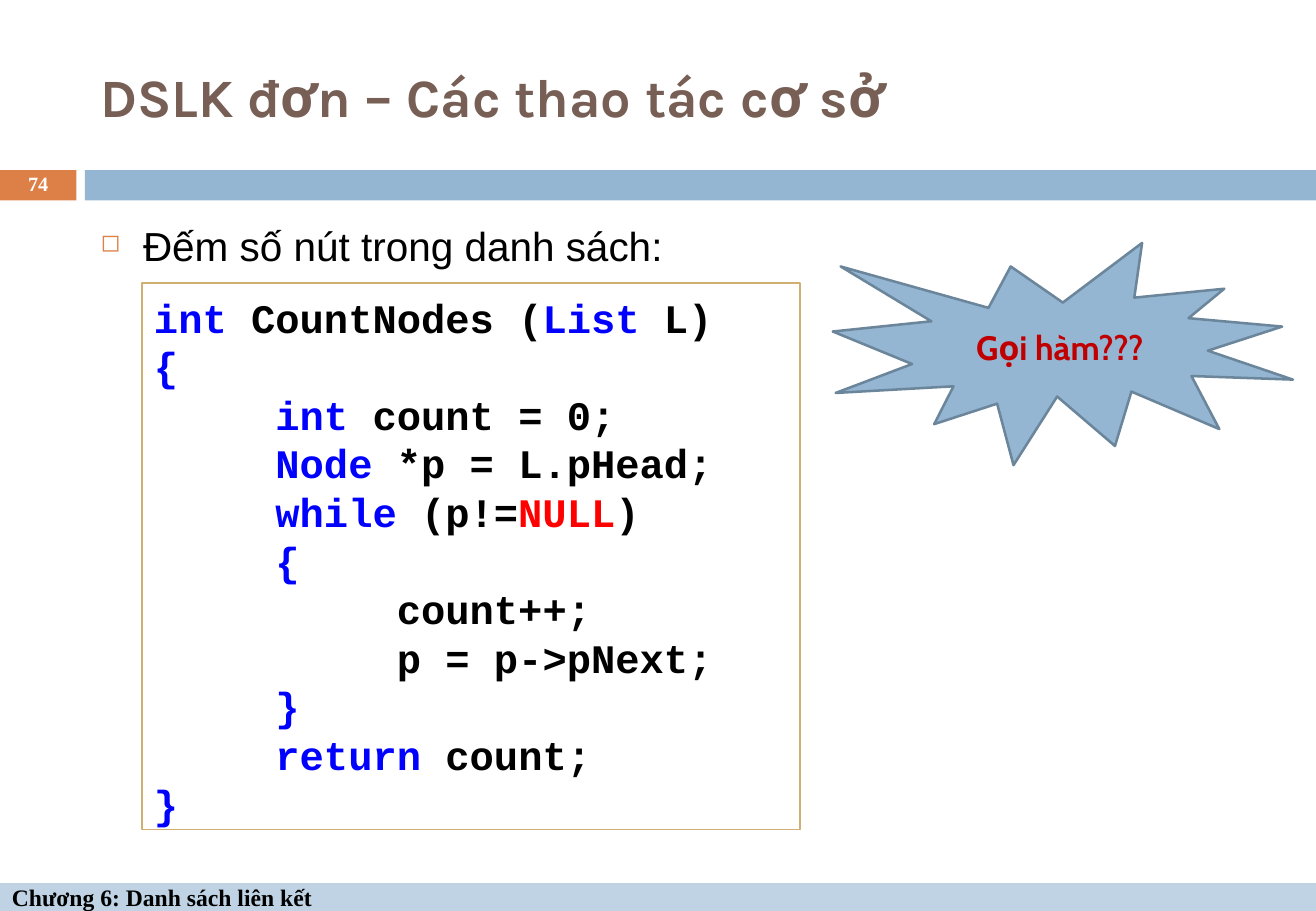
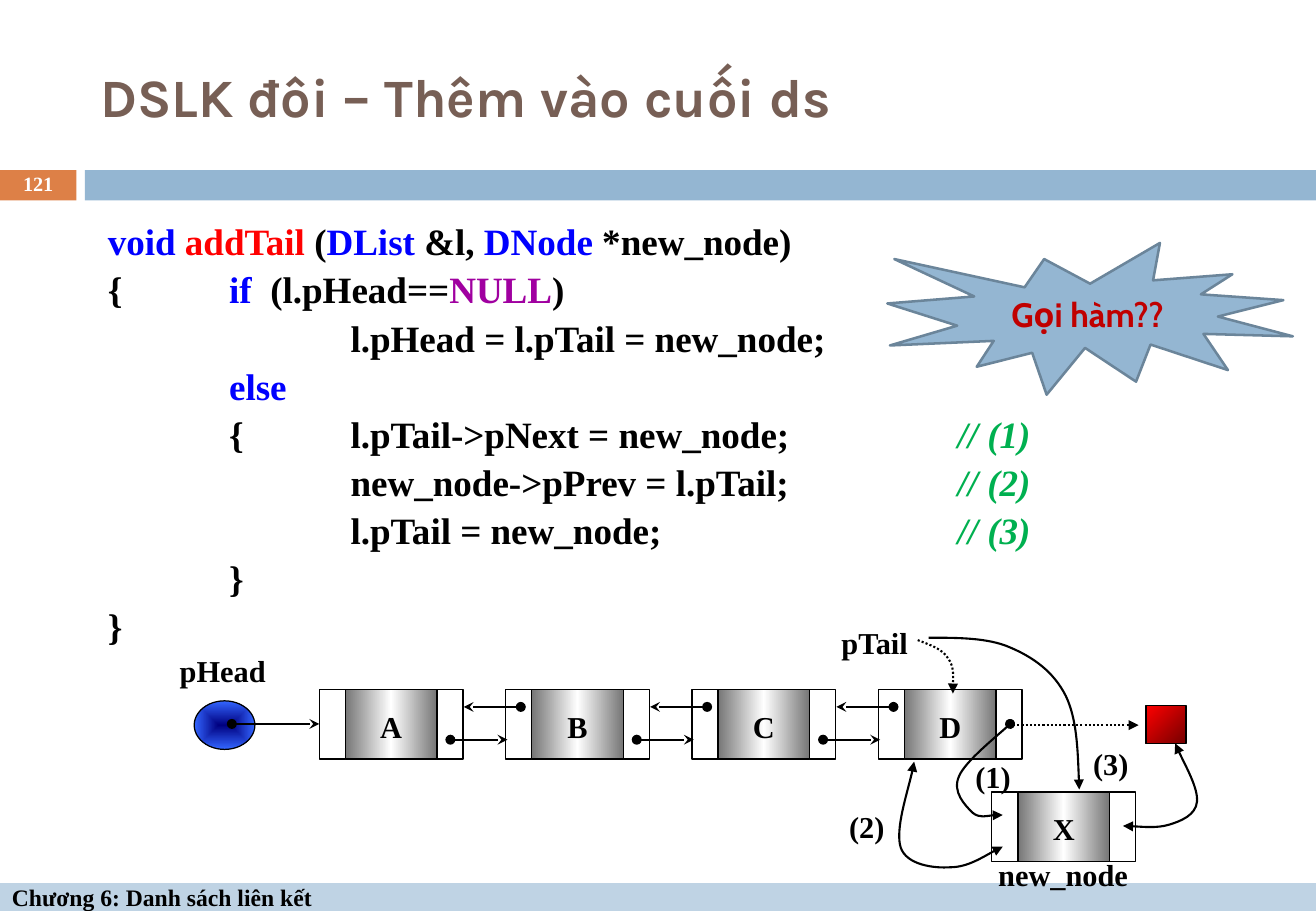
from dataclasses import dataclass
from functools import partial
from typing import NamedTuple, Optional, Sequence, Union

from lxml import etree
from pptx import Presentation
from pptx import util as u
from pptx.dml.color import RGBColor
from pptx.enum import dml, shapes, text
from pptx.oxml import ns, parse_xml

UNIT = 0.1  # inches in one grid step, across and down
COLUMNS, ROWS = 108.4, 75


@dataclass(frozen=True)
class Theme:
    black: str = "000000"
    white: str = "FFFFFF"
    orange: str = "DD8047"
    blue: str = "94B6D2"
    pale_blue: str = "BFD3E4"
    callout_edge: str = "6B859A"
    callout_text: str = "C00000"
    title: str = "775F55"
    code_edge: str = "D0AF72"
    keyword: str = "0000FF"
    name: str = "FF0000"
    constant: str = "A000A0"
    remark: str = "00B050"
    thin: float = 0.75
    arrow: float = 1.25
    callout: float = 1.5


THEME = Theme()


class Box(NamedTuple):
    """A place on the grid, in columns and rows."""
    left: float
    top: float
    width: float
    height: float


class Run(NamedTuple):
    text: str
    colour: str = THEME.black
    italic: bool = False


@dataclass(frozen=True)
class TextStyle:
    font: str
    size: float
    bold: bool = True
    align: text.PP_ALIGN = text.PP_ALIGN.LEFT
    anchor: text.MSO_ANCHOR = text.MSO_ANCHOR.MIDDLE
    margins: tuple = (0.1, 0.05, 0.1, 0.05)
    spacing: Union[float, u.Length, None] = None
    before: float = 0
    indent: float = 0
    tabs: int = 0
    bullet: str = ""


SERIF = "Times New Roman"
CENTER, TOP = text.PP_ALIGN.CENTER, text.MSO_ANCHOR.TOP
TITLE = TextStyle("Karla", 32)
FOOTER = TextStyle(SERIF, 14)
PAGE = TextStyle(SERIF, 12, align=CENTER, spacing=0.8)
CALLOUT = TextStyle("Cabin", 20, align=CENTER)
BULLET = TextStyle("Arial", 24, bold=False, anchor=TOP, spacing=u.Pt(30),
                   indent=0.35, bullet="◻")
MONO_CODE = TextStyle("Courier New", 24, anchor=TOP, spacing=u.Pt(28.8),
                      margins=(0.1, 0.08, 0.1, 0), tabs=8)
SERIF_CODE = TextStyle(SERIF, 22, anchor=TOP, spacing=u.Pt(26.5), before=2,
                       indent=0.06, tabs=8)
LABEL = TextStyle(SERIF, 18, align=CENTER, margins=(0, 0, 0, 0))
NODE_LABEL = TextStyle(SERIF, 18, align=CENTER, margins=(0, 0.03, 0, 0))
NODE_NAME = TextStyle(SERIF, 18, align=text.PP_ALIGN.RIGHT, anchor=TOP)

keyword = partial(Run, colour=THEME.keyword)
name = partial(Run, colour=THEME.name)
remark = partial(Run, colour=THEME.remark, italic=True)
Line = Sequence[Union[str, Run]]

COUNT_NODES: list[Line] = [
    [keyword("int"), " CountNodes (", keyword("List"), " L)"],
    [keyword("{")],
    ["\t", keyword("int"), " count = 0;"],
    ["\t", keyword("Node"), " *p = L.pHead;"],
    ["\t", keyword("while"), " (p!=", name("NULL"), ")"],
    ["\t", keyword("{")],
    ["\t\tcount++;"],
    ["\t\tp = p->pNext;"],
    ["\t", keyword("}")],
    [keyword("\treturn "), "count;"],
    [keyword("}")],
]
ADD_TAIL: list[Line] = [
    [keyword("void "), name("addTail "), "(", keyword("DList"), " &l, ",
     keyword("DNode"), " *new_node)"],
    ["{\t", keyword("if"), "  (l.pHead==", Run("NULL", THEME.constant), ")"],
    ["\t\tl.pHead = l.pTail = new_node;"],
    ["\t", keyword("else")],
    ["\t{\tl.pTail->pNext = new_node;\t\t", remark("// (1)")],
    ["\t\tnew_node->pPrev = l.pTail;\t\t", remark("// (2)")],
    ["\t\tl.pTail = new_node;\t\t\t", remark("// (3)")],
    ["\t}"],
    ["}"],
]


class Gradient(NamedTuple):
    stops: tuple
    angle: Optional[int] = None  # None spreads from the centre


METAL = Gradient(((0, "767676"), (50, "FFFFFF"), (100, "767676")), 0)
HEAD_BLUE = Gradient(((0, "000080"), (100, "3366FF")))
END_RED = Gradient(((0, "FF0000"), (100, "760000")), 45)


@dataclass(frozen=True)
class Link:
    """An arrow; more than two points are a chain of Bézier curves."""
    points: tuple
    head: str = "none"
    tail: str = "triangle"
    dotted: bool = False


NODE_TOP, NODE_HEIGHT = 56.8, 5.7
SIDE_WIDTH, DATA_WIDTH = 2.15, 7.55
FIRST_NODE, NODE_STEP = 26.3, 15.35
CHAIN = "ABCD"

LABELS = {
    "pHead": Box(13.5, 53.1, 9.7, 4.2), "pTail": Box(67.2, 50.8, 9.7, 4.2),
    "(1)": Box(79, 62.1, 5.6, 3.7), "(2)": Box(68.6, 66.2, 5.6, 3.7),
    "(3)": Box(88.7, 61, 5.6, 3.7),
}
LINKS = [
    Link(((75.6, 52.7), (76.6, 53.1), (77.6, 53.4), (78.1, 54.2),
          (78.6, 54.9), (78.5, 56), (78.5, 57.1)), dotted=True),
    Link(((92.5, 68), (93.1, 68), (95.3, 68.2), (96.3, 67.9),
          (97.3, 67.6), (98.5, 67.1), (98.6, 66),
          (98.7, 64.9), (97.2, 62.2), (96.8, 61.2)), head="triangle"),
    Link(((83.1, 59.7), (93.8, 59.7)), dotted=True),
    Link(((19.1, 59.6), (26.3, 59.6)), "oval", "stealth"),
    Link(((82.6, 69.7), (81.9, 70), (79.7, 71.4), (78.3, 71.4),
          (76.9, 71.5), (74.7, 71.2), (74.2, 69.8),
          (73.7, 68.3), (75.1, 64.2), (75.3, 62.7)), head="triangle"),
    Link(((83.2, 59.6), (82.5, 60.3), (79.5, 62.7), (79, 63.9),
          (78.4, 65.2), (79.5, 66.3), (80.1, 66.9),
          (80.7, 67.4), (82.1, 67), (82.6, 67.1)), head="oval"),
    Link(((76.5, 52.5), (78.9, 52.5), (81.4, 52.5), (83.2, 53.3),
          (85.1, 54.1), (86.8, 55.3), (87.8, 57.3),
          (88.7, 59.2), (88.8, 62.1), (88.9, 65))),
]


def grid(*steps: float) -> list[u.Length]:
    return [u.Inches(step * UNIT) for step in steps]


def rgb(colour: str) -> RGBColor:
    return RGBColor.from_string(colour)


def write(shape, lines: Sequence[Line], style: TextStyle) -> None:
    frame = shape.text_frame
    frame.word_wrap = True
    frame.vertical_anchor = style.anchor
    (frame.margin_left, frame.margin_top,
     frame.margin_right, frame.margin_bottom) = map(u.Inches, style.margins)
    for index, line in enumerate(lines):
        paragraph = frame.add_paragraph() if index else frame.paragraphs[0]
        format_paragraph(paragraph, style, first=index == 0)
        for part in line:
            part = Run(part) if isinstance(part, str) else part
            run = paragraph.add_run()
            run.text = part.text
            run.font.color.rgb = rgb(part.colour)
            if part.italic:
                run.font.italic = True


def format_paragraph(paragraph, style: TextStyle, first: bool) -> None:
    properties = paragraph._p.get_or_add_pPr()
    if style.indent:
        properties.set("marL", str(u.Inches(style.indent)))
    if style.bullet:
        properties.set("indent", str(-u.Inches(style.indent)))
        colour = etree.SubElement(properties, ns.qn("a:buClr"))
        etree.SubElement(colour, ns.qn("a:srgbClr"), val=THEME.orange)
        etree.SubElement(properties, ns.qn("a:buSzPct"), val="60000")
        etree.SubElement(properties, ns.qn("a:buChar"), char=style.bullet)
    if style.tabs:
        stops = etree.SubElement(properties, ns.qn("a:tabLst"))
        for inch in range(1, style.tabs + 1):
            etree.SubElement(stops, ns.qn("a:tab"), pos=str(u.Inches(inch)), algn="l")
    paragraph.alignment = style.align
    if style.spacing is not None:
        paragraph.line_spacing = style.spacing
    if style.before and not first:
        paragraph.space_before = u.Pt(style.before)
    font = paragraph.font
    font.name, font.size, font.bold = style.font, u.Pt(style.size), style.bold


def add_text(slide, box: Box, lines: Sequence[Line], style: TextStyle) -> None:
    write(slide.shapes.add_textbox(*grid(*box)), lines, style)


def fill_gradient(shape, gradient: Gradient) -> None:
    stops = "".join(f'<a:gs pos="{pos * 1000}"><a:srgbClr val="{colour}"/></a:gs>'
                    for pos, colour in gradient.stops)
    if gradient.angle is None:
        spread = ('<a:path path="rect"><a:fillToRect l="50000" t="50000" '
                  'r="50000" b="50000"/></a:path>')
    else:
        spread = f'<a:lin ang="{gradient.angle * 60000}" scaled="0"/>'
    shape.fill.background()
    properties = shape._element.spPr
    properties.replace(properties.find(ns.qn("a:noFill")), parse_xml(
        f'<a:gradFill {ns.nsdecls("a")}><a:gsLst>{stops}</a:gsLst>{spread}</a:gradFill>'))


def add_shape(slide, box: Box, fill: Union[str, Gradient, None], edge: str = "",
              weight: float = THEME.thin, kind=shapes.MSO_SHAPE.RECTANGLE):
    shape = slide.shapes.add_shape(kind, *grid(*box))
    shape.shadow.inherit = False
    if isinstance(fill, Gradient):
        fill_gradient(shape, fill)
    elif fill:
        shape.fill.solid()
        shape.fill.fore_color.rgb = rgb(fill)
    else:
        shape.fill.background()
    if edge:
        shape.line.color.rgb = rgb(edge)
        shape.line.width = u.Pt(weight)
    else:
        shape.line.fill.background()
    return shape


def add_curve(slide, points: tuple):
    start, *rest = (grid(*point) for point in points)
    builder = slide.shapes.build_freeform(*start)
    builder.add_line_segments(rest, close=False)
    shape = builder.convert_to_shape()
    shape.fill.background()
    shape.shadow.inherit = False
    outline = shape._element.find(".//" + ns.qn("a:path"))
    segments = outline.findall(ns.qn("a:lnTo"))
    for index, segment in enumerate(segments):
        if index % 3 == 0:
            curve = etree.SubElement(outline, ns.qn("a:cubicBezTo"))
        curve.append(segment[0])
        outline.remove(segment)
    return shape


def add_link(slide, link: Link) -> None:
    if len(link.points) == 2:
        start, end = link.points
        shape = slide.shapes.add_connector(
            shapes.MSO_CONNECTOR.STRAIGHT, *grid(*start, *end))
        etree.SubElement(shape._element.spPr, ns.qn("a:effectLst"))
    else:
        shape = add_curve(slide, link.points)
    shape.line.color.rgb = rgb(THEME.black)
    shape.line.width = u.Pt(THEME.arrow)
    if link.dotted:
        shape.line.dash_style = dml.MSO_LINE.ROUND_DOT
    outline = shape._element.spPr.find(ns.qn("a:ln"))
    for tag, end in (("a:headEnd", link.head), ("a:tailEnd", link.tail)):
        etree.SubElement(outline, ns.qn(tag), type=end)


def add_node(slide, label: str, left: float, top: float) -> None:
    """Draw a list node: a data cell between two pointer cells."""
    data_left = left + SIDE_WIDTH
    for side in (left, data_left + DATA_WIDTH):
        add_shape(slide, Box(side, top, SIDE_WIDTH, NODE_HEIGHT), THEME.white, THEME.black)
    data = add_shape(slide, Box(data_left, top, DATA_WIDTH, NODE_HEIGHT), METAL, THEME.black)
    write(data, [[label]], NODE_LABEL)


def add_callout(slide, box: Box, words: str) -> None:
    star = add_shape(slide, box, THEME.blue, THEME.callout_edge, THEME.callout,
                     shapes.MSO_SHAPE.EXPLOSION1)
    write(star, [[Run(words, THEME.callout_text)]], CALLOUT)


def add_framed_slide(presentation, title: str, page: int):
    """Add a blank slide with the bands, title, page number and footer."""
    slide = presentation.slides.add_slide(presentation.slide_layouts[6])
    add_shape(slide, Box(0, 14, 6.3, 2.5), THEME.orange)
    add_shape(slide, Box(7, 14, COLUMNS - 7, 2.5), THEME.blue)
    footer = add_shape(slide, Box(0, ROWS - 2.3, COLUMNS, 2.3), THEME.pale_blue)
    write(footer, [["Chương 6: Danh sách liên kết"]], FOOTER)
    add_text(slide, Box(7.3, 2.5, 96.6, 10.8), [[Run(title, THEME.title)]], TITLE)
    add_text(slide, Box(0, 13.9, 6.3, 2.7), [[Run(str(page), THEME.white)]], PAGE)
    return slide


BODY = Box(7.3, 17.5, 96.6, 49.2)


def build_count_slide(presentation) -> None:
    slide = add_framed_slide(presentation, "DSLK đơn – Các thao tác cơ sở", 74)
    add_text(slide, BODY, [["Đếm số nút trong danh sách:"]], BULLET)
    code = add_shape(slide, Box(11.7, 23.3, 54.2, 45), None, THEME.code_edge)
    write(code, COUNT_NODES, MONO_CODE)
    add_callout(slide, Box(68.6, 20, 37.9, 18.3), "Gọi hàm???")


def build_add_tail_slide(presentation) -> None:
    slide = add_framed_slide(presentation, "DSLK đôi – Thêm vào cuối ds", 121)
    add_text(slide, BODY, ADD_TAIL, SERIF_CODE)
    add_shape(slide, Box(16, 57.7, 5, 4), HEAD_BLUE, THEME.black, kind=shapes.MSO_SHAPE.OVAL)
    add_shape(slide, Box(94.4, 58.1, 3.3, 3.1), END_RED, THEME.black)
    lefts = [FIRST_NODE + index * NODE_STEP for index in range(len(CHAIN))]
    for label, left in zip(CHAIN, lefts):
        add_node(slide, label, left, NODE_TOP)
    add_node(slide, "X", 81.7, 65.2)
    for left in lefts[:-1]:
        add_link(slide, Link(((left + 10.8, 60.9), (left + 15.5, 60.9)), "oval", "stealth"))
        add_link(slide, Link(((left + 16.6, 58.2), (left + 11.9, 58.2)), "oval", "stealth"))
    for link in LINKS:
        add_link(slide, link)
    for label, box in LABELS.items():
        add_text(slide, box, [[label]], LABEL)
    add_text(slide, Box(80, 70, 13.9, 4), [["new_node"]], NODE_NAME)
    add_callout(slide, Box(73.1, 20, 33.4, 12.5), "Gọi hàm??")


def main() -> None:
    presentation = Presentation()
    presentation.slide_width, presentation.slide_height = grid(COLUMNS, ROWS)
    build_count_slide(presentation)
    build_add_tail_slide(presentation)
    presentation.save("out.pptx")


if __name__ == "__main__":
    main()
